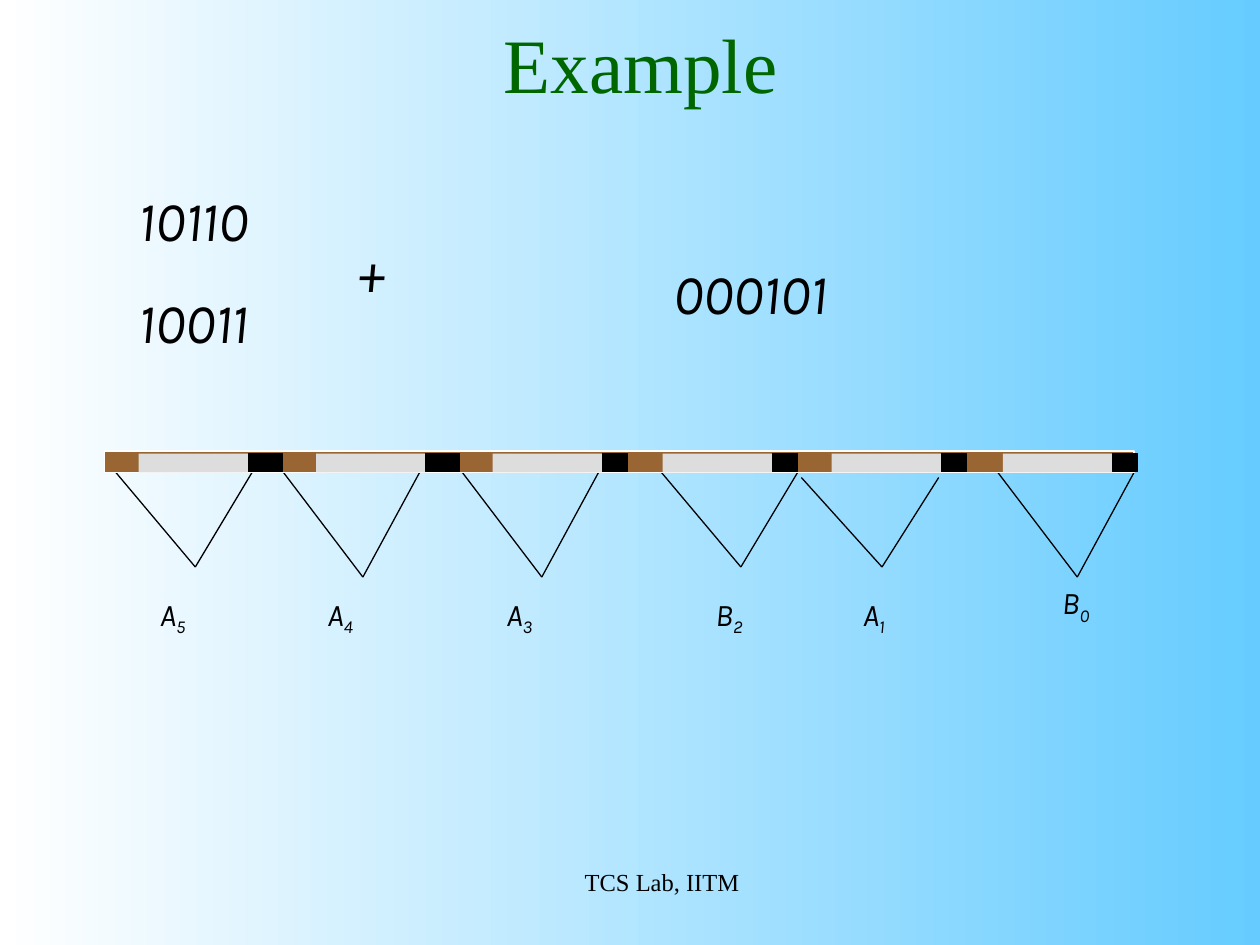
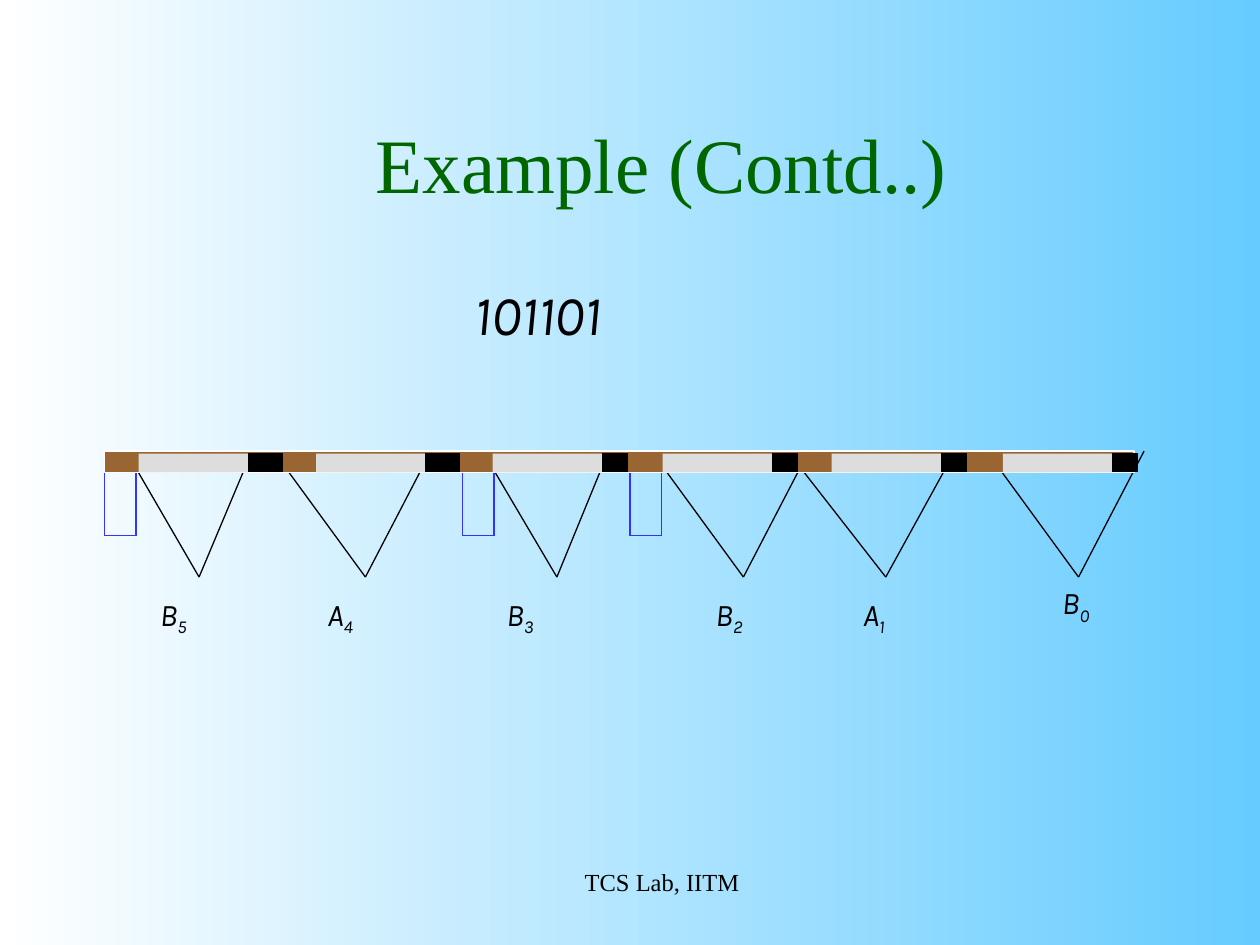
from itertools import pairwise

from pptx import Presentation
from pptx.dml.color import RGBColor
from pptx.enum.shapes import MSO_CONNECTOR as CONN, MSO_SHAPE as SHAPE
from pptx.enum.text import MSO_ANCHOR as ANCHOR, MSO_AUTO_SIZE as AUTO, PP_ALIGN as ALIGN
from pptx.oxml.ns import qn
from pptx.util import Inches, Pt

# Content: texts are (paragraphs, (left, top, width, height)),
# wedges are (left, tip, right, top, bottom)
SLIDES = [
    {
        "title": ("Example", (1, 0, 8.17, 1)),
        "numbers": [
            (["000101"], (5.25, 2, 3.83, 0.64)),
            (["10110", "10011"], (1, 1.42, 1.58, 1.45)),
            (["+"], (2.75, 1.83, 0.75, 0.64)),
        ],
        "labels": ["A5", "A4", "A3", "B2", "A1", "B0"],
        "wedges": [
            (0.92, 1.55, 2, 3.75, 4.5),
            (2.25, 2.88, 3.33, 3.75, 4.58),
            (3.67, 4.3, 4.75, 3.75, 4.58),
            (5.25, 5.88, 6.33, 3.75, 4.5),
            (6.36, 7, 7.45, 3.79, 4.5),
            (7.92, 8.55, 9, 3.75, 4.58),
        ],
        "brackets": [],
    },
    {
        "title": ("Example (Contd..)", (1, 0.67, 8.5, 1.25)),
        "numbers": [(["101101"], (3.67, 2.17, 5.25, 0.64))],
        "labels": ["B5", "A4", "B3", "B2", "A1", "B0"],
        "wedges": [
            (2.17, 2.9, 3.42, 3.58, 4.58),
            (1, 1.58, 2, 3.58, 4.58),
            (3.83, 4.42, 4.83, 3.58, 4.58),
            (5.17, 5.9, 6.42, 3.58, 4.58),
            (6.25, 7.03, 7.58, 3.58, 4.58),
            (7.83, 8.56, 9.08, 3.58, 4.58),
        ],
        "brackets": [3.67, 0.83, 5],
    },
]
FOOTER = "TCS Lab, IITM"

# Shared style and strand layout
COLORS = {"title": "006600", "text": "000000", "sky": "66CCFF", "white": "FFFFFF",
          "strand": "996633", "segment": "DDDDDD", "bracket": "3333FF"}
SERIF, SANS = "Times New Roman", "Karla"
LABEL_SPOTS = [(1.17, 4.67), (2.5, 4.67), (3.92, 4.67),
               (5.58, 4.67), (6.75, 4.67), (8.33, 4.58)]
STRAND = (0.83, 3.58, 8.17, 0.17)
SEGMENT_W = 0.87
SEGMENTS = [(1.1, 0.27), (2.51, 0.27), (3.91, 0.2),  # (left, width of black end)
            (5.26, 0.2), (6.6, 0.2), (7.96, 0.2)]
BRACKET_W, BRACKET_TOP, BRACKET_BOTTOM = 0.25, 3.58, 4.25


def rgb(name):
    return RGBColor.from_string(COLORS[name])


def box(at):
    return [Inches(v) for v in at]


def add_run(p, text, size, font, color="text", italic=None):
    r = p.add_run()
    r.text = text
    r.font.size, r.font.name, r.font.italic = Pt(size), font, italic
    r.font.color.rgb = rgb(color)
    return r


def add_textbox(s, at, grow=True):
    tf = s.shapes.add_textbox(*box(at)).text_frame
    tf.word_wrap = True
    tf.auto_size = AUTO.SHAPE_TO_FIT_TEXT if grow else AUTO.NONE
    return tf


def add_title(s, text, at):
    sp = s.shapes.title
    sp.left, sp.top, sp.width, sp.height = box(at)
    tf = sp.text_frame
    tf.auto_size, tf.vertical_anchor = AUTO.NONE, ANCHOR.MIDDLE
    p = tf.paragraphs[0]
    p.alignment = ALIGN.CENTER
    add_run(p, text, 44, SERIF, "title")


def add_numbers(s, rows, at):
    tf = add_textbox(s, at)
    for i, row in enumerate(rows):
        p = tf.add_paragraph() if i else tf.paragraphs[0]
        p.space_before = Pt(20)
        add_run(p, row, 32, SANS, italic=True)


def add_label(s, label, spot):
    p = add_textbox(s, (*spot, 0.75, 0.44)).paragraphs[0]
    p.space_before = Pt(11.2)
    letter, index = label
    add_run(p, letter, 18, SANS, italic=True)
    r = add_run(p, index, 18, SANS, italic=True)
    r.font._element.set("baseline", "-25000")


def add_path(s, points, color="text"):
    for start, end in pairwise(points):
        line = s.shapes.add_connector(CONN.STRAIGHT, *box(start + end))
        line.line.color.rgb, line.line.width = rgb(color), Pt(0.75)
        sp_pr = line._element.spPr
        sp_pr.append(sp_pr.makeelement(qn("a:effectLst"), {}))


def add_rect(s, at, fill, line=None):
    sp = s.shapes.add_shape(SHAPE.RECTANGLE, *box(at))
    sp.shadow.inherit = False
    sp.fill.solid()
    sp.fill.fore_color.rgb = rgb(fill)
    if line:
        sp.line.color.rgb, sp.line.width = rgb(line), Pt(0.75)
    else:
        sp.line.fill.background()


def add_strand(s):
    add_rect(s, STRAND, "strand", "white")
    for left, end_w in SEGMENTS:
        add_rect(s, (left, 3.6, SEGMENT_W, 0.15), "segment")
        add_rect(s, (left + SEGMENT_W, 3.6, end_w, 0.14), "text", "text")


def add_footer(s):
    p = add_textbox(s, (3.67, 6.83, 3.17, 0.5), grow=False).paragraphs[0]
    p.alignment = ALIGN.CENTER
    add_run(p, FOOTER, 14, SERIF)


def build_slide(prs, content):
    s = prs.slides.add_slide(prs.slide_layouts[5])
    add_title(s, *content["title"])
    for left, tip, right, top, bottom in content["wedges"]:
        add_path(s, [(left, top), (tip, bottom), (right, top)])
    for left in content["brackets"]:
        right = left + BRACKET_W
        add_path(s, [(left, BRACKET_TOP), (left, BRACKET_BOTTOM),
                     (right, BRACKET_BOTTOM), (right, BRACKET_TOP)], "bracket")
    for label, spot in zip(content["labels"], LABEL_SPOTS):
        add_label(s, label, spot)
    for rows, at in content["numbers"]:
        add_numbers(s, rows, at)
    add_strand(s)
    add_footer(s)


def main():
    prs = Presentation()
    prs.slide_width, prs.slide_height = Inches(10), Inches(7.5)

    # Background shared through the master
    fill = prs.slide_master.background.fill
    fill.gradient()
    fill.gradient_angle = 180
    for stop, color in zip(fill.gradient_stops, ("sky", "white")):
        stop.color.rgb = rgb(color)

    for content in SLIDES:
        build_slide(prs, content)
    prs.save("out.pptx")


if __name__ == "__main__":
    main()
